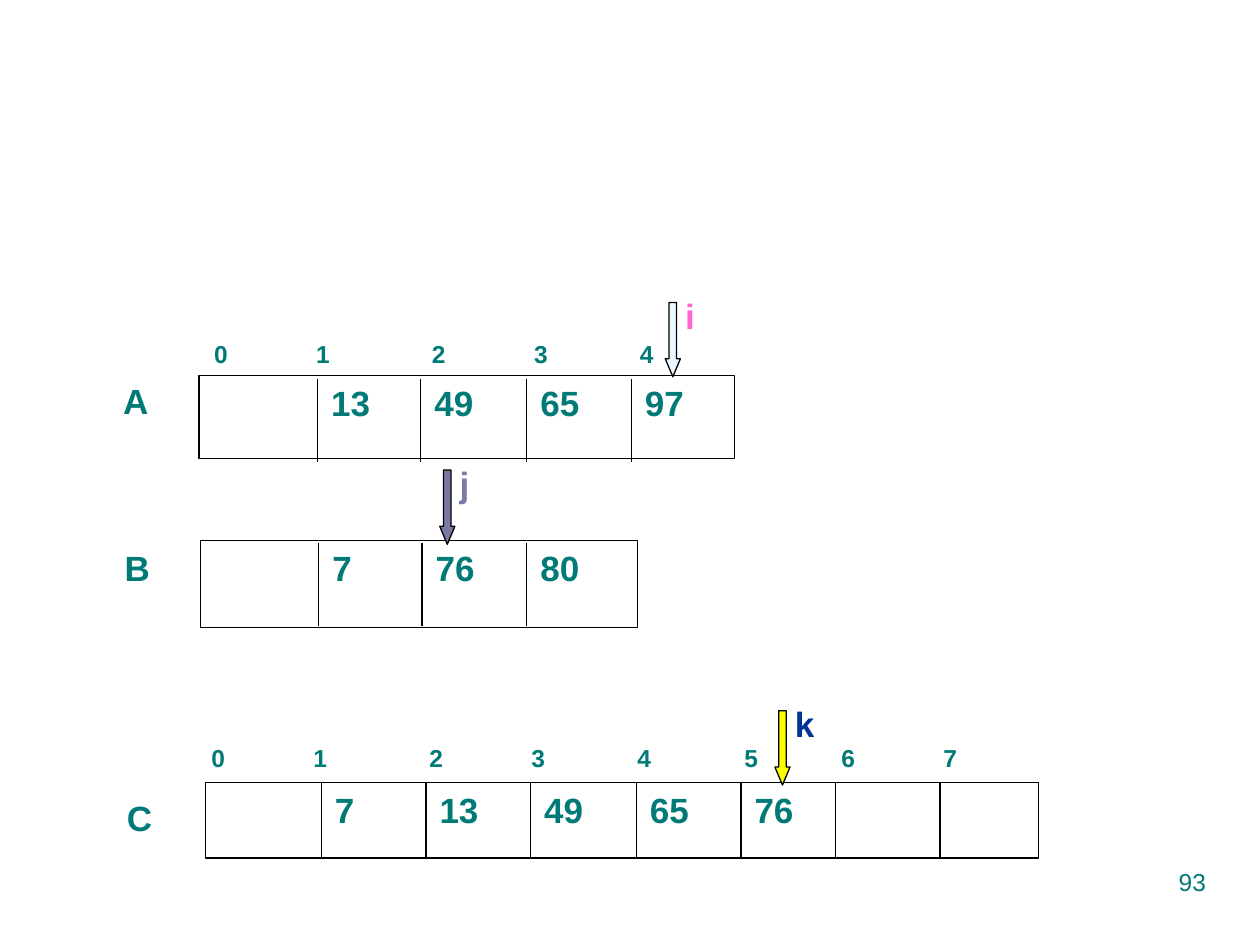
"""Build a slide showing one step of merging sorted arrays A and B into C."""
from lxml import etree
from pptx import Presentation
from pptx.dml.color import RGBColor
from pptx.enum import shapes, text
from pptx.oxml.ns import qn
from pptx.util import Inches, Pt

TEAL = "007A77"
INDEX_STOPS = [0.81, 1.73, 2.54, 3.38, 4.23, 5.0, 5.81]


def add_label(parent, words, left, top, width, height, size=20, color=TEAL, bold=True, stops=()):
    box = parent.add_textbox(Inches(left), Inches(top), Inches(width), Inches(height))
    box.text_frame.word_wrap = True
    para = box.text_frame.paragraphs[0]
    para.text = words
    if stops:
        tabs = etree.SubElement(para._p.get_or_add_pPr(), qn("a:tabLst"))
        for stop in stops:
            etree.SubElement(tabs, qn("a:tab"), pos=str(Inches(stop)), algn="l")
    para.font.name = "Arial"
    para.font.size = Pt(size)
    para.font.bold = bold
    para.font.color.rgb = RGBColor.from_string(color)
    return para


def add_outlined(parent, kind, left, top, width, height, fill):
    shape = parent.add_shape(kind, Inches(left), Inches(top), Inches(width), Inches(height))
    shape.shadow.inherit = False
    shape.fill.solid()
    shape.fill.fore_color.rgb = RGBColor.from_string(fill)
    shape.line.color.rgb = RGBColor.from_string("000000")
    shape.line.width = Pt(0.75)
    return shape


deck = Presentation()
deck.slide_width, deck.slide_height = Inches(10), Inches(7.5)
page = deck.slides.add_slide(deck.slide_layouts[6])

arrays = [
    ("A", (0.88, 2.96), (1.58, 2.98, 4.25, 0.66), (3.01, 3.67),
     [2.52, 3.34, 4.18, 5.01], ["13", "49", "65", "97"]),
    ("B", (0.89, 4.29), (1.59, 4.29, 3.47, 0.69), (4.31, 4.97),
     [2.53, 3.35, 4.18], ["7", "76", "80"]),
    ("C", (0.91, 6.27), (1.63, 6.21, 6.61, 0.6), (6.21, 6.82),
     [2.55, 3.38, 4.21, 5.05, 5.88, 6.63, 7.46], ["7", "13", "49", "65", "76"]),
]
for name, name_at, frame, (line_top, line_bottom), dividers, values in arrays:
    add_label(page.shapes, name, *name_at, 0.67, 0.44)
    add_outlined(page.shapes, shapes.MSO_SHAPE.RECTANGLE, *frame, "FFFFFF")
    for x in dividers:
        divider = page.shapes.add_connector(
            shapes.MSO_CONNECTOR.STRAIGHT, Inches(x), Inches(line_top), Inches(x), Inches(line_bottom))
        divider.line.color.rgb = RGBColor.from_string("000000")
        divider.line.width = Pt(0.75)
        etree.SubElement(divider._element.spPr, qn("a:effectLst"))
    for x, value in zip(dividers, values):
        add_label(page.shapes, value, x + 0.01, frame[1], 0.67, 0.44)

for count, left, top, width in [(5, 1.6, 2.64, 4.25), (8, 1.58, 5.85, 6.66)]:
    indices = "\t".join(str(index) for index in range(count))
    add_label(page.shapes, indices, left, top, width, 0.34, size=14, stops=INDEX_STOPS[:count - 1])

pointers = [
    ("i", 5.28, 2.4, "EBF7FF", "FF66CC"),
    ("j", 3.49, 3.73, "7979A5", "7979A5"),
    ("k", 6.15, 5.64, "FAFD00", "003399"),
]
for name, left, top, fill, color in pointers:
    pointer = page.shapes.add_group_shape()
    arrow = add_outlined(pointer.shapes, shapes.MSO_SHAPE.DOWN_ARROW, left, top, 0.12, 0.59, fill)
    arrow.adjustments[0], arrow.adjustments[1] = 0.5, 1.19
    add_label(pointer.shapes, name, left + 0.06, top - 0.11, 0.53, 0.44, color=color)

number = add_label(page.shapes, "93", 7.17, 6.83, 2.5, 0.52, size=14, bold=False)
number.alignment = text.PP_ALIGN.RIGHT

deck.save("out.pptx")
